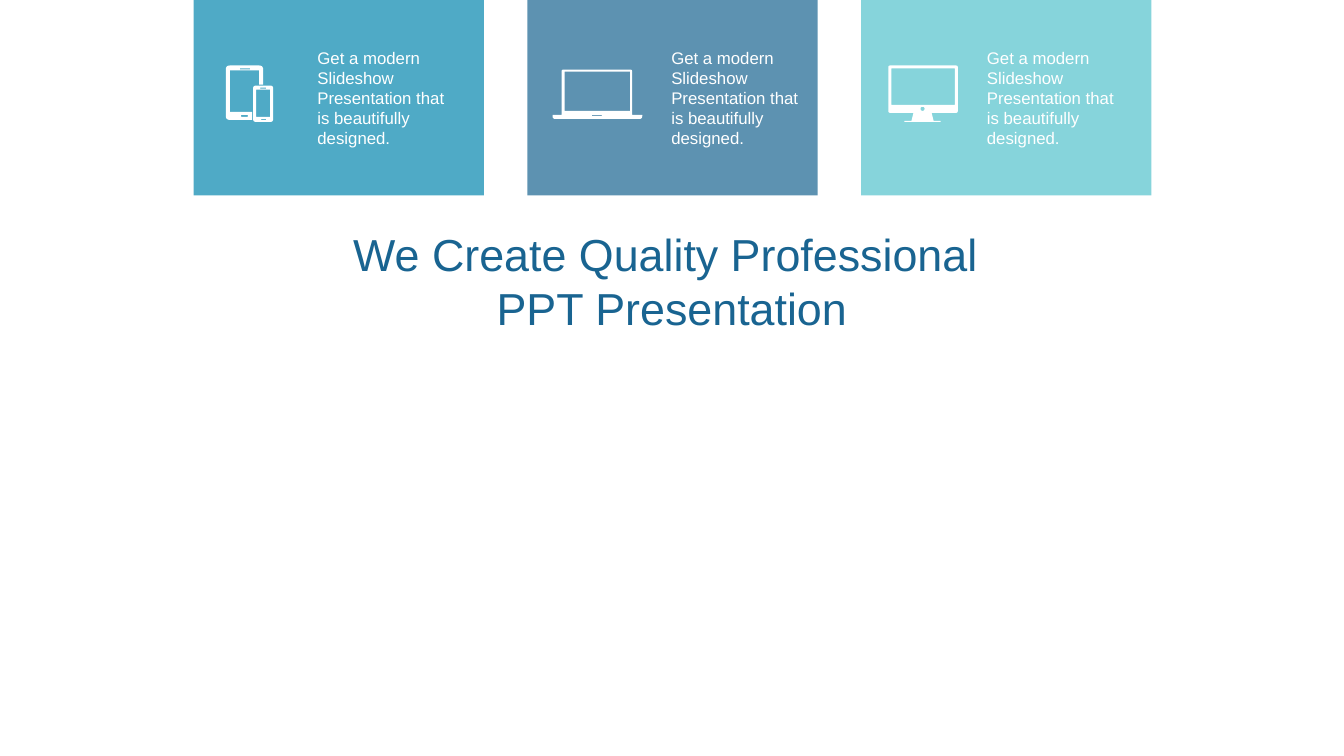
from dataclasses import dataclass

from lxml.etree import SubElement
from pptx import Presentation
from pptx.dml.color import RGBColor
from pptx.enum.shapes import MSO_SHAPE
from pptx.enum.text import MSO_ANCHOR as Anchor, MSO_AUTO_SIZE as AutoSize, PP_ALIGN as Align
from pptx.oxml.ns import qn
from pptx.util import Inches, Pt

Point = tuple[float, float]
Corner = tuple[float, float, float]  # x, y, radius

WHITE = "FFFFFF"
NAVY = "196491"
TILE_LEFT, TILE_STEP, TILE_WIDTH, TILE_HEIGHT = 1.92, 3.31, 2.88, 1.94
TILE_TEXT = "Get a modern Slideshow Presentation that is beautifully designed."
CURVE_STEPS = 6


@dataclass
class Tile:
    color: str
    text_left: float
    icon: list[list[Point]]


def rounded_outline(corners: list[Corner]) -> list[Point]:
    """Turn corners with radii into points, each corner a quadratic curve."""
    points = []
    for index, (x, y, radius) in enumerate(corners):
        if not radius:
            points.append((x, y))
            continue
        ends = []
        for other_x, other_y, _ in (corners[index - 1], corners[(index + 1) % len(corners)]):
            share = radius / ((other_x - x) ** 2 + (other_y - y) ** 2) ** 0.5
            ends.append((x + (other_x - x) * share, y + (other_y - y) * share))
        (start_x, start_y), (end_x, end_y) = ends
        for step in range(CURVE_STEPS + 1):
            t = step / CURVE_STEPS
            a, b, c = (1 - t) ** 2, 2 * t * (1 - t), t ** 2
            points.append((a * start_x + b * x + c * end_x, a * start_y + b * y + c * end_y))
    return points


def panel(left: float, top: float, right: float, bottom: float, radius: float = 0) -> list[Point]:
    return rounded_outline([(left, top, radius), (right, top, radius),
                            (right, bottom, radius), (left, bottom, radius)])


def paint(shape, color: str, opacity: int = 100) -> None:
    shape.shadow.inherit = False
    shape.fill.solid()
    shape.fill.fore_color.rgb = RGBColor.from_string(color)
    shape.line.fill.background()
    if opacity < 100:
        solid = shape.fill._xPr.find(qn("a:solidFill"))
        SubElement(solid[0], qn("a:alpha"), val=str(opacity * 1000))


def add_rectangle(page, left: float, top: float, width: float, height: float, color: str):
    box = page.shapes.add_shape(MSO_SHAPE.RECTANGLE, Inches(left), Inches(top),
                                Inches(width), Inches(height))
    paint(box, color, opacity=70)
    return box


def add_icon(page, outlines: list[list[Point]]) -> None:
    builder = None
    for outline in outlines:
        start, *rest = [(Inches(x), Inches(y)) for x, y in outline]
        if builder is None:
            builder = page.shapes.build_freeform(*start)
        else:
            builder.move_to(*start)
        builder.add_line_segments(rest, close=True)
    paint(builder.convert_to_shape(), WHITE)


def write(box, text: str, *, size: int, color: str, align=Align.LEFT, anchor=Anchor.TOP,
          margin_x: float = 0.1, margin_y: float = 0.05) -> None:
    frame = box.text_frame
    frame.word_wrap = True
    frame.auto_size = AutoSize.SHAPE_TO_FIT_TEXT
    frame.vertical_anchor = anchor
    frame.margin_left = frame.margin_right = Inches(margin_x)
    frame.margin_top = frame.margin_bottom = Inches(margin_y)
    frame.text = text
    for para in frame.paragraphs:
        para.alignment = align
        for span in para.runs:
            span.font.name = "Arial"
            span.font.size = Pt(size)
            span.font.color.rgb = RGBColor.from_string(color)


TABLET_AND_PHONE = [
    rounded_outline([(2.24, 0.65, 0.04), (2.61, 0.65, 0.04), (2.61, 0.84, 0), (2.57, 0.84, 0),
                     (2.57, 0.7, 0), (2.28, 0.7, 0), (2.28, 1.11, 0), (2.5, 1.11, 0),
                     (2.5, 1.19, 0), (2.24, 1.19, 0.04)]),
    panel(2.38, 0.68, 2.48, 0.69),
    panel(2.39, 1.14, 2.46, 1.16, 0.01),
    panel(2.51, 0.85, 2.71, 1.21, 0.03),
    panel(2.54, 0.89, 2.68, 1.16),
    panel(2.58, 0.87, 2.64, 0.88),
    panel(2.59, 1.18, 2.64, 1.19),
]
LAPTOP = [
    rounded_outline([(5.57, 0.69, 0.02), (6.27, 0.69, 0.02), (6.27, 1.14, 0), (6.37, 1.14, 0),
                     (6.37, 1.18, 0.03), (5.48, 1.18, 0.03), (5.48, 1.14, 0), (5.57, 1.14, 0)]),
    panel(5.6, 0.71, 6.25, 1.1),
    panel(5.87, 1.14, 5.97, 1.15),
]
MONITOR = [
    rounded_outline([(8.81, 0.65, 0.02), (9.5, 0.65, 0.02), (9.5, 1.12, 0.02), (9.24, 1.12, 0),
                     (9.26, 1.2, 0), (9.33, 1.2, 0), (9.33, 1.21, 0), (8.97, 1.21, 0),
                     (8.97, 1.2, 0), (9.04, 1.2, 0), (9.06, 1.12, 0), (8.81, 1.12, 0.02)]),
    panel(8.84, 0.68, 9.47, 1.04),
    panel(9.13, 1.06, 9.17, 1.1, 0.02),
]
TILES = [
    Tile("0587AF", 3.05, TABLET_AND_PHONE),
    Tile(NAVY, 6.56, LAPTOP),
    Tile("53C3CD", 9.69, MONITOR),
]


def main() -> None:
    deck = Presentation()
    deck.slide_width, deck.slide_height = Inches(13.33), Inches(7.5)
    page = deck.slides.add_slide(deck.slide_layouts[6])

    for index, tile in enumerate(TILES):
        add_rectangle(page, TILE_LEFT + index * TILE_STEP, 0, TILE_WIDTH, TILE_HEIGHT, tile.color)
        add_icon(page, tile.icon)
        box = page.shapes.add_textbox(Inches(tile.text_left), Inches(0.42),
                                      Inches(1.53), Inches(1.11))
        write(box, TILE_TEXT, size=12, color=WHITE)

    title = add_rectangle(page, 0, 2.24, 13.33, 1.08, WHITE)
    write(title, "We Create Quality Professional \nPPT Presentation", size=32, color=NAVY,
          align=Align.CENTER, anchor=Anchor.MIDDLE, margin_x=0.04, margin_y=0)
    deck.save("out.pptx")


if __name__ == "__main__":
    main()
